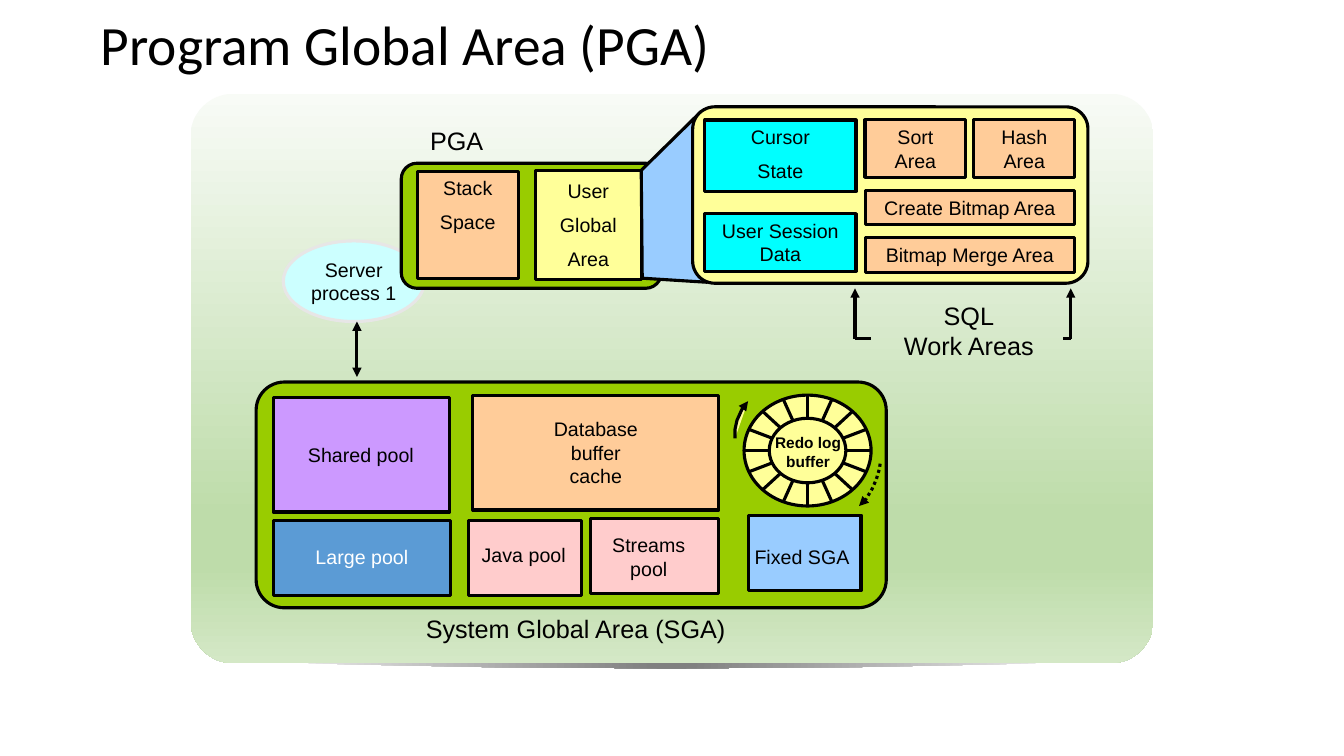
import math

from lxml import etree
from pptx import Presentation
from pptx.dml.color import RGBColor
from pptx.enum.dml import MSO_LINE
from pptx.enum.shapes import MSO_CONNECTOR, MSO_SHAPE
from pptx.enum.text import MSO_ANCHOR, PP_ALIGN
from pptx.oxml import parse_xml
from pptx.oxml.ns import nsdecls, qn
from pptx.util import Inches, Pt

RECT = MSO_SHAPE.RECTANGLE
ROUNDED = MSO_SHAPE.ROUNDED_RECTANGLE
OVAL = MSO_SHAPE.OVAL
STRAIGHT = MSO_CONNECTOR.STRAIGHT
DOTTED = MSO_LINE.ROUND_DOT
TOP, MIDDLE = MSO_ANCHOR.TOP, MSO_ANCHOR.MIDDLE
CENTER, LEFT = PP_ALIGN.CENTER, PP_ALIGN.LEFT

COLORS = {
    "black": "000000", "white": "FFFFFF", "gray": "808080", "rim": "E7E6E6",
    "green": "99CC00", "peach": "FFCC99", "yellow": "FFFF99", "cyan": "00FFFF",
    "pale_cyan": "CCFFFF", "sky": "99CCFF", "blue": "5B9BD5", "pink": "FFCCCC",
    "purple": "CC99FF", "mist": "F8FBF6", "leaf": "BEDCAA", "pale_leaf": "D4E8C6",
}
PANEL_STOPS = [(0, "mist"), (74, "leaf"), (83, "leaf"), (100, "pale_leaf")]
SHADOW_STOPS = [(4, "gray"), (100, "white")]
VERTICAL = '<a:lin ang="5400000" scaled="0"/>'
RADIAL = '<a:path path="circle"><a:fillToRect l="50000" t="50000" r="50000" b="50000"/></a:path>'


def rgb(name):
    return RGBColor.from_string(COLORS[name])


def set_line(line, color="black"):
    line.color.rgb = rgb(color)
    line.width = Pt(2.25)


def set_gradient(shape, stops, direction):
    shape.fill.gradient()
    plain = shape.fill._xPr.find(qn("a:gradFill"))
    stop_xml = "".join(
        f'<a:gs pos="{percent * 1000}"><a:srgbClr val="{COLORS[color]}"/></a:gs>'
        for percent, color in stops)
    gradient = parse_xml(
        f'<a:gradFill {nsdecls("a")}><a:gsLst>{stop_xml}</a:gsLst>{direction}</a:gradFill>')
    plain.getparent().replace(plain, gradient)
    shape.line.fill.background()


def set_text(shape, text, size, color="black", bold=False, anchor=TOP, wrap=True, gap=0):
    frame = shape.text_frame
    frame.word_wrap = wrap
    frame.vertical_anchor = anchor
    frame.text = text
    for index, para in enumerate(frame.paragraphs):
        para.alignment = CENTER
        para.space_before = Pt(gap if index else 0)
        para.font.name = "Arial"
        para.font.size = Pt(size)
        para.font.bold = bold
        para.font.color.rgb = rgb(color)


def add_box(page, place, fill, text="", kind=RECT, line="black", radius=0.125,
            anchor=TOP, wrap=True):
    box = page.shapes.add_shape(kind, *map(Inches, place))
    box.shadow.inherit = False
    if kind == ROUNDED:
        box.adjustments[0] = radius
    box.fill.solid()
    box.fill.fore_color.rgb = rgb(fill)
    set_line(box.line, line)
    if text:
        set_text(box, text, 14, anchor=anchor, wrap=wrap, gap=7.5)
    return box


def add_label(page, place, text, size=14, **style):
    set_text(page.shapes.add_textbox(*map(Inches, place)), text, size, **style)


def add_arrowheads(line, ends):
    for end in ends:
        etree.SubElement(line._get_or_add_ln(), qn(f"a:{end}"), type="triangle")


def add_line(page, start, finish, ends=()):
    line = page.shapes.add_connector(STRAIGHT, *map(Inches, (*start, *finish)))
    set_line(line.line)
    etree.SubElement(line._element.spPr, qn("a:effectLst"))
    add_arrowheads(line.line, ends)


def add_outline(page, points, closed=True):
    corners = [(Inches(x), Inches(y)) for x, y in points]
    builder = page.shapes.build_freeform(*corners[0])
    builder.add_line_segments(corners[1:], close=closed)
    outline = builder.convert_to_shape()
    outline.shadow.inherit = False
    set_line(outline.line)
    return outline


def add_curved_arrow(page, points, dotted=False):
    arrow = add_outline(page, points, closed=False)
    if dotted:
        arrow.fill.background()
        arrow.line.dash_style = DOTTED
    else:
        arrow.fill.solid()
        arrow.fill.fore_color.rgb = rgb("yellow")
    add_arrowheads(arrow.line, ["tailEnd"])


def add_title(page, text):
    title = page.shapes.title
    title.left, title.top, title.width, title.height = map(Inches, (0.9, 0.22, 10.92, 0.5))
    title.text_frame.text = text
    title.text_frame.vertical_anchor = MIDDLE
    para = title.text_frame.paragraphs[0]
    para.alignment = LEFT
    para.line_spacing = 0.9
    para.font.name = "Calibri"
    para.font.size = Pt(39.6)
    para.font.color.rgb = rgb("black")


def add_panel(page):
    shadow = add_outline(page, [
        (2.11, 6.54), (11.22, 6.54), (11.06, 6.55), (9.9, 6.59), (8.4, 6.62),
        (6.66, 6.63), (4.93, 6.62), (3.43, 6.59), (2.27, 6.55)])
    set_gradient(shadow, SHADOW_STOPS, RADIAL)
    panel = add_box(page, (1.89, 0.93, 9.55, 5.65), "mist", kind=ROUNDED, radius=0.075)
    set_gradient(panel, PANEL_STOPS, VERTICAL)


def add_pga(page):
    add_box(page, (2.81, 2.39, 1.4, 0.8), "pale_cyan", "Server\vprocess 1", OVAL, "rim",
            anchor=MIDDLE, wrap=False)
    add_box(page, (3.98, 1.62, 2.58, 1.24), "green", kind=ROUNDED)
    add_box(page, (4.14, 1.7, 1, 1.06), "peach", "Stack\nSpace")
    add_box(page, (5.31, 1.69, 1.05, 1.08), "yellow", "User\nGlobal\nArea",
            anchor=MIDDLE, wrap=False)
    add_label(page, (4.16, 1.19, 0.74, 0.4), "PGA", 18, wrap=False)
    add_line(page, (3.54, 3.19), (3.54, 3.74), ["headEnd", "tailEnd"])


def add_user_global_area(page):
    zoom = add_outline(page, [(6.95, 1.11), (6.36, 1.69), (6.37, 2.76), (7.01, 2.8)])
    zoom.fill.solid()
    zoom.fill.fore_color.rgb = rgb("sky")
    add_box(page, (6.87, 1.06, 3.92, 1.75), "yellow", kind=ROUNDED)
    for place, fill, text in [
        ((6.99, 1.19, 1.5, 0.71), "cyan", "Cursor\nState"),
        ((6.99, 2.12, 1.5, 0.57), "cyan", "User Session Data"),
        ((8.58, 1.19, 1, 0.57), "peach", "Sort Area"),
        ((9.66, 1.19, 1, 0.57), "peach", "Hash Area"),
        ((8.58, 1.89, 2.08, 0.34), "peach", "Create Bitmap Area"),
        ((8.58, 2.36, 2.08, 0.34), "peach", "Bitmap Merge Area"),
    ]:
        add_box(page, place, fill, text)
    add_label(page, (8.86, 2.93, 1.5, 0.71), "SQL\nWork Areas", 18, wrap=False)
    for x, inner_x in [(8.48, 8.64), (10.62, 10.54)]:
        add_line(page, (x, 3.36), (inner_x, 3.36))
        add_line(page, (x, 3.36), (x, 2.86), ["tailEnd"])


def add_sga(page):
    add_box(page, (2.54, 3.79, 6.25, 2.24), "green", kind=ROUNDED)
    add_box(page, (4.69, 3.92, 2.44, 1.14), "peach", "Database\vbuffer\vcache",
            anchor=MIDDLE, wrap=False)
    for place, fill, label_place, text, color in [
        ((2.71, 3.94, 1.75, 1.14), "purple", (2.87, 4.34, 1.42, 0.33), "Shared pool", "black"),
        ((2.71, 5.16, 1.76, 0.75), "blue", (2.88, 5.36, 1.42, 0.33), "Large pool", "white"),
        ((4.65, 5.16, 1.12, 0.75), "pink", (4.61, 5.34, 1.17, 0.33), "Java pool", "black"),
        ((5.86, 5.14, 1.27, 0.75), "pink", (5.81, 5.24, 1.25, 0.57), "Streams pool", "black"),
        ((7.42, 5.11, 1.12, 0.75), "sky", (7.37, 5.36, 1.17, 0.33), "Fixed SGA", "black"),
    ]:
        add_box(page, place, fill)
        add_label(page, label_place, text, color=color)
    add_label(page, (4.11, 6.04, 3.2, 0.4), "System Global Area (SGA)", 18, wrap=False)


def add_redo_log_ring(page, spokes=16):
    center_x, center_y = 8.01, 4.47
    radii = [(0.63, 0.55), (0.38, 0.32)]
    for across, down in radii:
        add_box(page, (center_x - across, center_y - down, 2 * across, 2 * down),
                "yellow", kind=OVAL)
    for spoke in range(spokes):
        angle = 2 * math.pi * spoke / spokes
        outer, inner = [(center_x + across * math.cos(angle), center_y + down * math.sin(angle))
                        for across, down in radii]
        add_line(page, inner, outer)
    add_curved_arrow(page, [(8.73, 4.6), (8.72, 4.66), (8.69, 4.76), (8.65, 4.85),
                            (8.59, 4.95), (8.52, 5.02)], dotted=True)
    add_curved_arrow(page, [(7.29, 4.35), (7.29, 4.26), (7.31, 4.17), (7.36, 4.06),
                            (7.42, 3.98)])
    add_label(page, (7.39, 4.25, 1.25, 0.47), "Redo log buffer", 11, bold=True)


def main():
    deck = Presentation()
    deck.slide_width, deck.slide_height = Inches(13.33), Inches(7.5)
    page = deck.slides.add_slide(deck.slide_layouts[5])
    add_title(page, "Program Global Area (PGA)")
    add_panel(page)
    add_pga(page)
    add_user_global_area(page)
    add_sga(page)
    add_redo_log_ring(page)
    deck.save("out.pptx")


if __name__ == "__main__":
    main()
